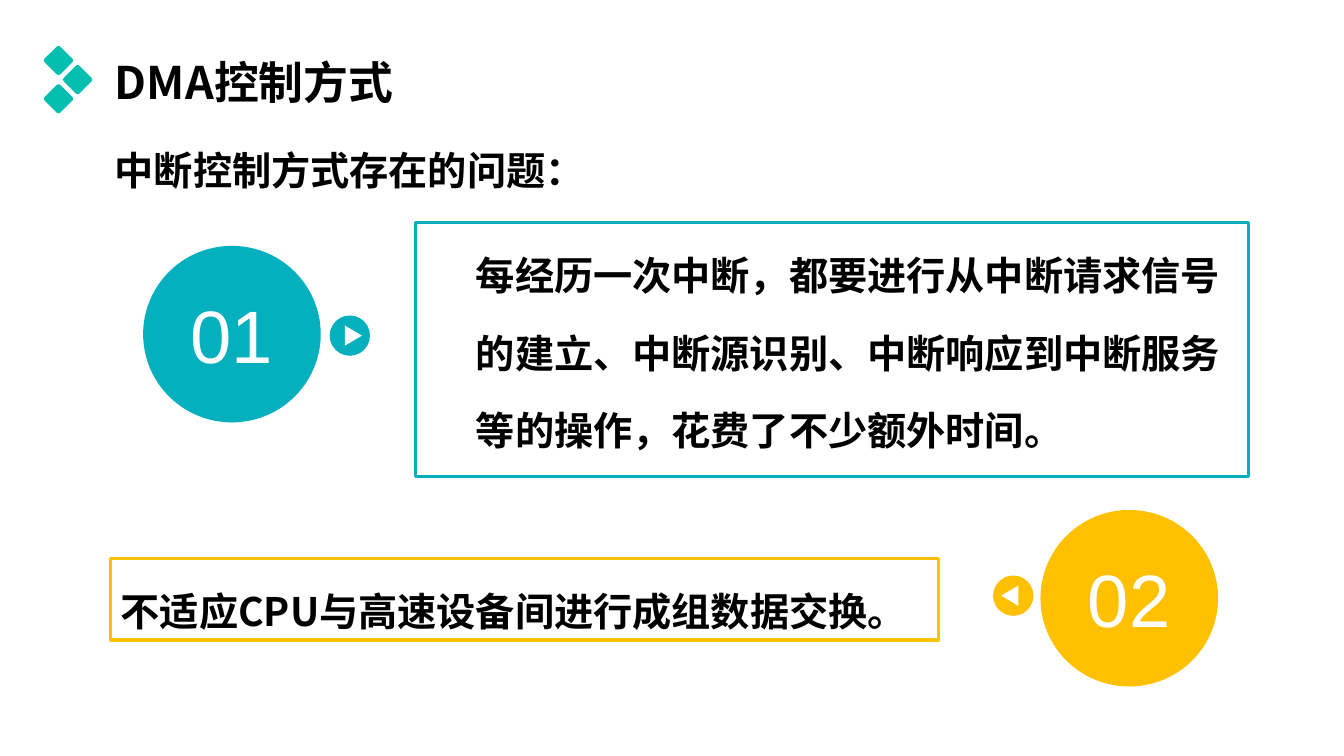
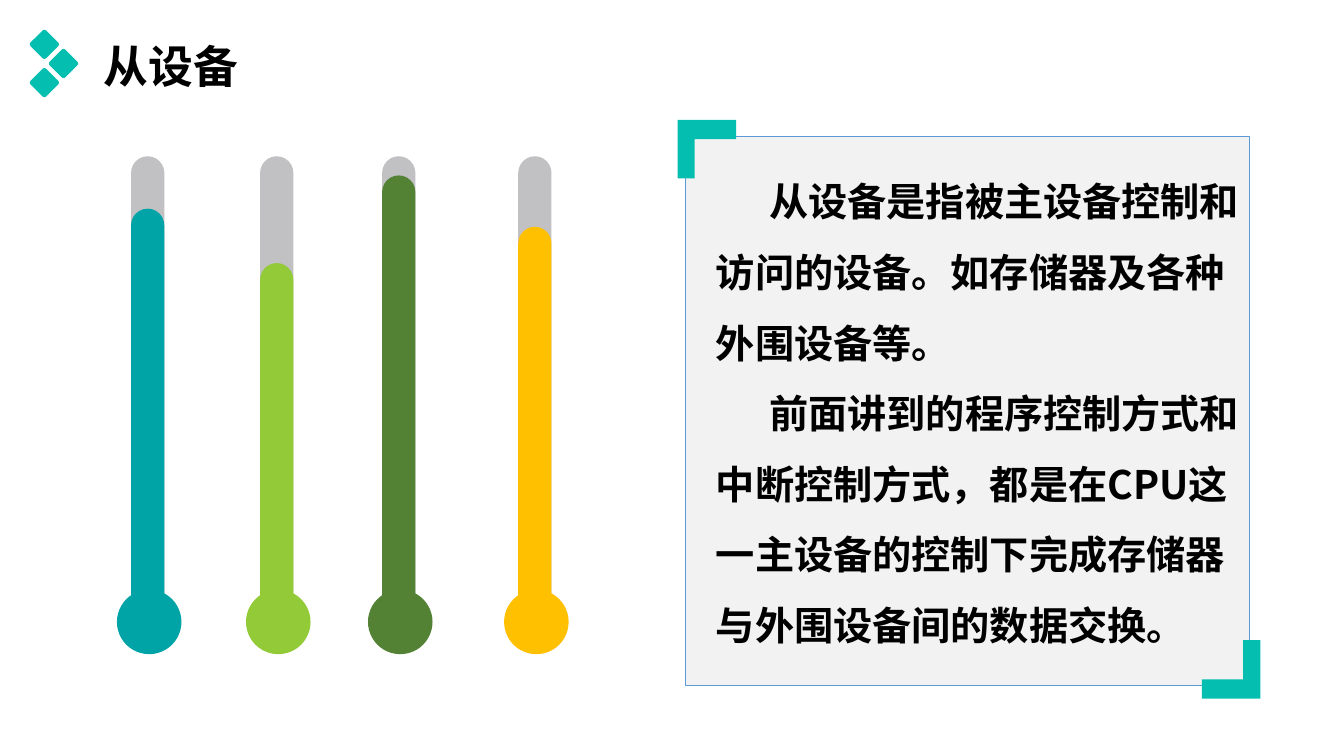
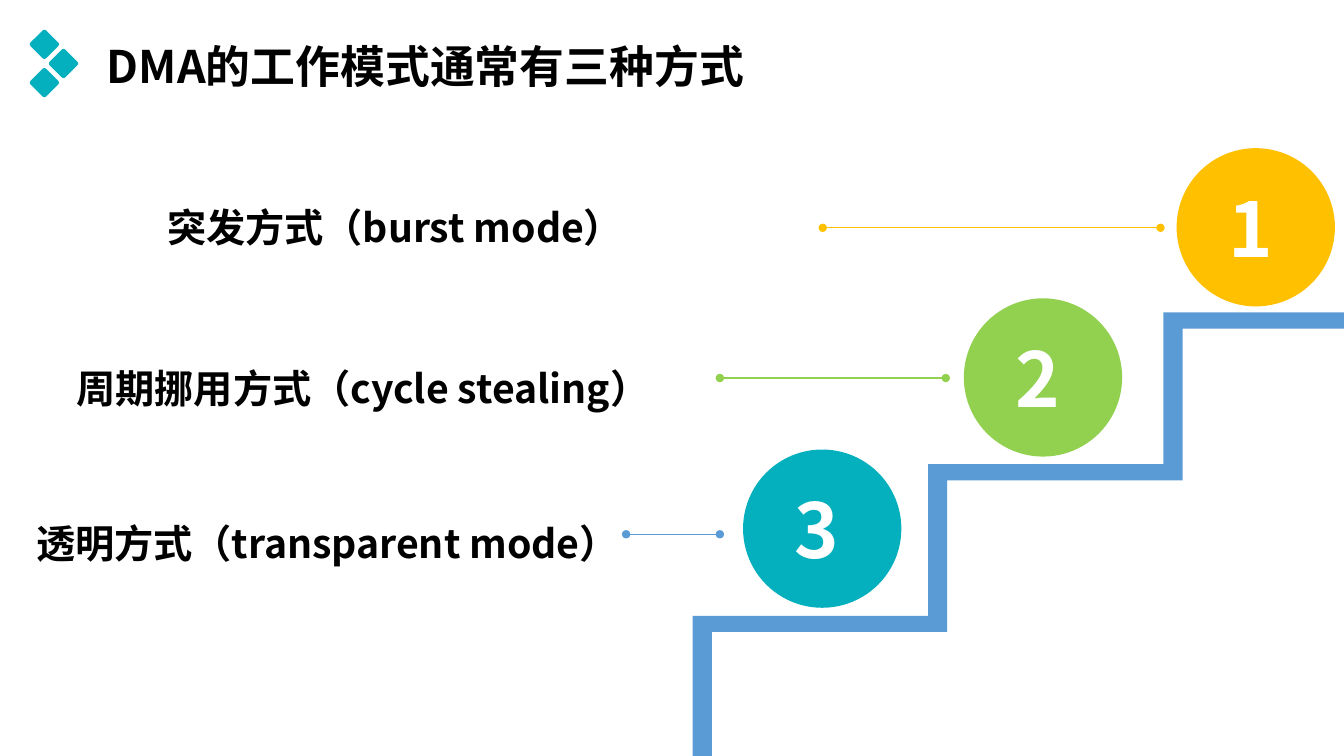
from pptx import Presentation
from pptx import util as u
from pptx.dml.color import RGBColor
from pptx.enum import shapes, text
from pptx.oxml.ns import qn
from lxml import etree

WIDE, HIGH = 13.33, 7.5
HEX = dict(mint="04BEB0", teal="04B0BE", gold="FFC000", lime="92D050",
           blue="5B9BD5", black="000000", white="FFFFFF", pale="F2F2F2",
           grey="C1C0C3", sea="00A3A6", leaf="93CA38", moss="548235")
SANS, ARIAL = "Noto Sans CJK SC", "Arial"
LEFT, MID, JUST = (text.PP_ALIGN.LEFT, text.PP_ALIGN.CENTER,
                   text.PP_ALIGN.JUSTIFY)
OVAL, RECT, ROUND = (shapes.MSO_SHAPE.OVAL, shapes.MSO_SHAPE.RECTANGLE,
                     shapes.MSO_SHAPE.ROUNDED_RECTANGLE)

HEADS = [  # title, its corner, corner of the mark, mark colour
    ("DMA控制方式", (1.04, 0.52), (0.43, 0.45), "mint"),
    ("从设备", (0.93, 0.36), (0.29, 0.29), "mint"),
    ("DMA的工作模式通常有三种方式", (0.96, 0.36), (0.29, 0.29), "teal"),
]

ISSUE = "中断控制方式存在的问题："
COST = ["每经历一次中断，都要进行从中断请求信号",
        "的建立、中断源识别、中断响应到中断服务",
        "等的操作，花费了不少额外时间。"]
LIMIT = "不适应CPU与高速设备间进行成组数据交换。"
BADGES = [  # number, disc corner, centre of the button, direction, colour
    ("01", (1.44, 2.46), (3.47, 3.33), 1, "teal"),
    ("02", (10.34, 5.08), (10.05, 5.91), -1, "gold"),
]

SLAVE = ["从设备是指被主设备控制和访问的设备。如存储器及各种外围设备等。",
         "前面讲到的程序控制方式和中断控制方式，都是在CPU这一主设备的控制下"
         "完成存储器与外围设备间的数据交换。"]
GAUGES = [  # left, top of the level, colour
    (1.3, 2.07, "sea"), (2.58, 2.61, "leaf"),
    (3.79, 1.74, "moss"), (5.14, 2.25, "gold"),
]

MODES = [  # label, label corner, number, disc corner, line ends, y, colours
    ("突发方式（burst mode）", (1.56, 1.73), "1", (11.67, 1.47),
     (11.51, 8.16), 2.26, "gold", "gold"),
    ("周期挪用方式（cycle stealing）", (0.66, 3.33), "2", (9.56, 2.96),
     (9.38, 7.14), 3.75, "lime", "lime"),
    ("透明方式（transparent mode）", (0.26, 4.87), "3", (7.37, 4.46),
     (7.14, 6.21), 5.3, "teal", "blue"),
]


def rgb(name):
    return RGBColor.from_string(HEX[name])


def paint(shape, fill=None, line=None, width=1):
    if fill:
        shape.fill.solid()
        shape.fill.fore_color.rgb = rgb(fill)
    else:
        shape.fill.background()
    if line:
        shape.line.color.rgb = rgb(line)
        shape.line.width = u.Pt(width)
    else:
        shape.line.fill.background()


def draw(slide, kind, x, y, w, h, *look):
    shape = slide.shapes.add_shape(kind, *map(u.Inches, (x, y, w, h)))
    shape.shadow.inherit = False
    paint(shape, *look)
    return shape


def outline(slide, points, fill):
    pts = [(u.Inches(x), u.Inches(y)) for x, y in points]
    pen = slide.shapes.build_freeform(*pts[0])
    pen.add_line_segments(pts[1:], close=True)
    shape = pen.convert_to_shape()
    shape.shadow.inherit = False
    paint(shape, fill)


def write(shape, lines, size=28, color="black", font=SANS, bold=True,
          align=LEFT, space=1.0, gap=0, margin=0, first=0, top=True,
          inset=(0.1, 0.05, 0.1, 0.05)):
    """Fill a shape with one paragraph per line; insets run left, top, right, bottom."""
    frame = shape.text_frame
    frame.word_wrap = True
    frame.auto_size = text.MSO_AUTO_SIZE.NONE
    frame.vertical_anchor = (text.MSO_ANCHOR.TOP if top
                             else text.MSO_ANCHOR.MIDDLE)
    (frame.margin_left, frame.margin_top,
     frame.margin_right, frame.margin_bottom) = map(u.Inches, inset)
    frame.text = "\n".join(lines)
    for i, para in enumerate(frame.paragraphs):
        props = para._p.get_or_add_pPr()
        props.set("marL", str(u.Inches(margin)))
        props.set("indent", str(u.Inches(first)))
        etree.SubElement(props, qn("a:buNone"))
        para.alignment = align
        para.line_spacing = space
        para.space_before = u.Pt(gap if i else 0)
        face = para.font
        face.size, face.bold, face.name = u.Pt(size), bold, font
        face.color.rgb = rgb(color)
        asian = etree.SubElement(props.find(qn("a:defRPr")), qn("a:ea"))
        asian.set("typeface", font)


def place(shape, x, y, w, h):
    shape.left, shape.top, shape.width, shape.height = map(
        u.Inches, (x, y, w, h))
    return shape


def label(slide, words, x, y, w, h=0.8):
    box = slide.shapes.add_textbox(*map(u.Inches, (x, y, w, h)))
    write(box, [words], space=1.5)


def start(deck, layout, head):
    """Add a slide with its title and the mark of three diamonds."""
    title, (x, y), (left, top), color = head
    slide = deck.slides.add_slide(deck.slide_layouts[layout])
    write(place(slide.shapes.title, x, y, 10.97, 0.64), [title], 32,
          space=0.9, top=False)
    side, step = 0.22, 0.19
    for i, col in enumerate((0, 1, 0)):
        tile = draw(slide, ROUND, left + 0.04 + col * step,
                    top + 0.04 + i * step, side, side, color)
        tile.adjustments[0] = 0.12
        tile.rotation = 45
    return slide


def issues(deck):
    slide = start(deck, 1, HEADS[0])
    body = place(slide.placeholders[1], 4.12, 2.21, 8.26, 2.52)
    paint(body, None, "teal", 2.25)
    write(body, COST, align=JUST, space=1.5, gap=5, margin=0.5)
    label(slide, ISSUE, 1.04, 1.17, 5.13)
    for num, (x, y), (cx, cy), way, color in BADGES:
        disc = draw(slide, OVAL, x, y, 1.72, 1.71, color, color, 3)
        write(disc, [num], 53, "white", ARIAL, False, MID, top=False)
        draw(slide, OVAL, cx - 0.2, cy - 0.2, 0.4, 0.4, color)
        outline(slide, [(cx + way * 0.12, cy), (cx - way * 0.05, cy + 0.1),
                        (cx - way * 0.05, cy - 0.1)], "white")
    note = draw(slide, RECT, 1.1, 5.54, 8.21, 0.81, None, "gold", 2.25)
    write(note, [LIMIT], space=1.5)


def devices(deck):
    slide = start(deck, 1, HEADS[1])
    wide, top, base, bulb = 0.33, 1.55, 6.26, 0.64
    for x, level, color in GAUGES:
        for y, fill in ((top, "grey"), (level, color)):
            tube = draw(slide, ROUND, x, y, wide, base - y, fill)
            tube.adjustments[0] = 0.5
        draw(slide, OVAL, x - 0.14, 5.85, bulb, bulb, color)
    body = place(slide.placeholders[1], 6.8, 1.35, 5.59, 5.45)
    paint(body, "pale", "blue", 0.75)
    write(body, SLAVE, space=1.5, first=0.53, inset=(0.3, 0.18, 0.05, 0.05))
    arm, thick, thin = 0.58, 0.19, 0.17
    for x, y, way in ((6.72, 1.19, 1), (12.5, 6.93, -1)):
        bend = [(0, 0), (arm, 0), (arm, thick), (thin, thick),
                (thin, arm), (0, arm)]
        outline(slide, [(x + way * a, y + way * b) for a, b in bend], "mint")


def modes(deck):
    slide = start(deck, 5, HEADS[2])
    left, tread, run, rise = 6.87, 6.11, 2.335, 1.505
    edge = [(left, HIGH)]
    for i in range(3):
        x, y = left + i * run, tread - i * rise
        edge += [(x, y), (x + run, y)]
    under = [(x + 0.19, y + 0.16) for x, y in edge]
    under[0] = (left + 0.19, HIGH)
    outline(slide, [(min(x, WIDE), y) for x, y in edge + under[::-1]], "blue")
    for words, (x, y), num, (dx, dy), ends, level, color, stroke in MODES:
        label(slide, words, x, y, 6.2)
        disc = draw(slide, OVAL, dx, dy, 1.57, 1.57, color)
        write(disc, [num], 54, "white", align=MID, top=False,
              inset=(0, 0, 0.1, 0))
        near, far = map(u.Inches, ends)
        line = slide.shapes.add_connector(
            shapes.MSO_CONNECTOR.STRAIGHT, near, u.Inches(level),
            far, u.Inches(level))
        line.line.color.rgb = rgb(stroke)
        line.line.width = u.Pt(1)
        for end in ("a:headEnd", "a:tailEnd"):
            etree.SubElement(line.line._get_or_add_ln(), qn(end)).set(
                "type", "oval")
        etree.SubElement(line._element.spPr, qn("a:effectLst"))


def main():
    deck = Presentation()
    deck.slide_width, deck.slide_height = u.Inches(WIDE), u.Inches(HIGH)
    for build in (issues, devices, modes):
        build(deck)
    deck.save("out.pptx")


if __name__ == "__main__":
    main()
